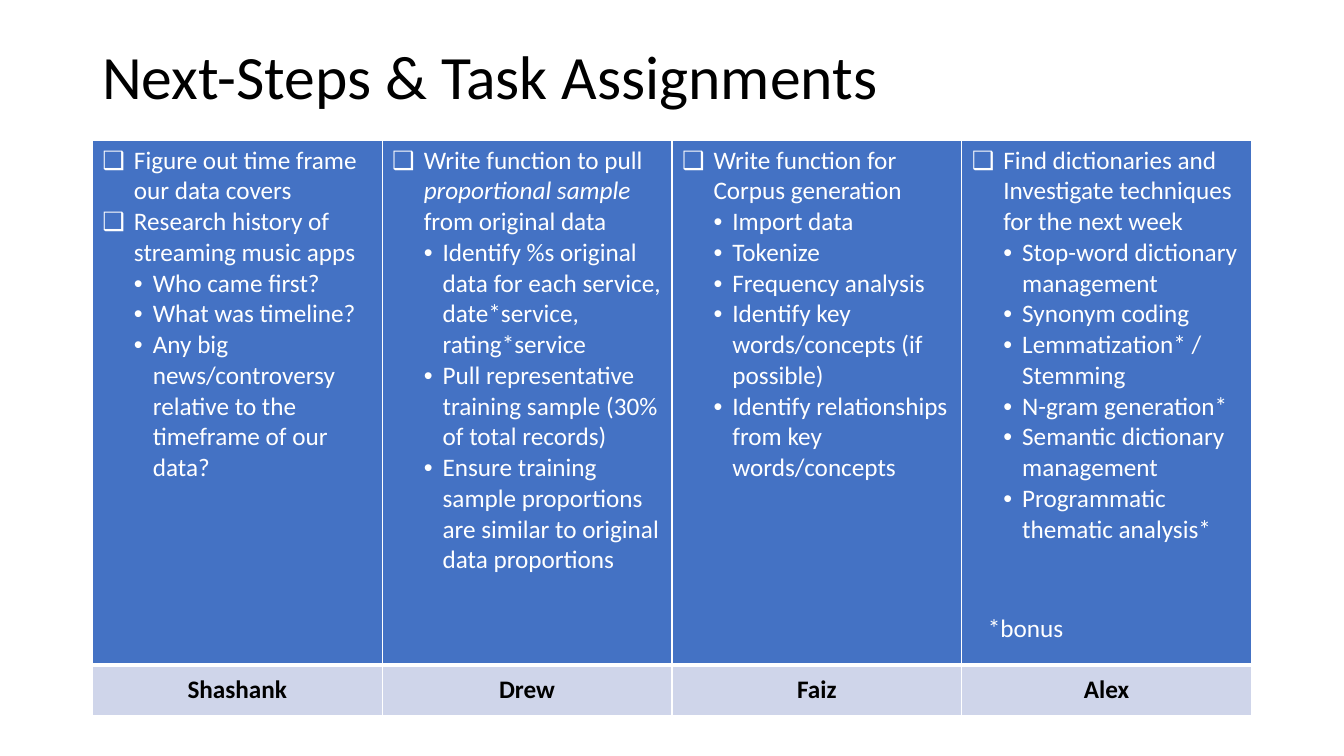
from lxml import etree
from pptx import Presentation
from pptx.dml.color import RGBColor
from pptx.enum.text import MSO_ANCHOR, PP_ALIGN
from pptx.oxml.ns import qn
from pptx.util import Pt

MIDDLE = MSO_ANCHOR.MIDDLE
TOP = MSO_ANCHOR.TOP
CENTER = PP_ALIGN.CENTER

BLACK = RGBColor(0x00, 0x00, 0x00)
WHITE = RGBColor(0xFF, 0xFF, 0xFF)
BLUE = RGBColor(0x44, 0x72, 0xC4)
PALE_BLUE = RGBColor(0xCF, 0xD5, 0xEA)

TITLE_FONT = {"name": "Calibri", "size": Pt(44)}
BODY_FONT = {"name": "Calibri", "size": Pt(18)}
NAME_FONT = {"name": "Calibri", "size": Pt(18), "bold": True}

TITLE_BOX = (66, 29, 828, 56)
TABLE_BOX = (66, 100, 828, 411)
BONUS_BOX = (698.5, 433.5, 183.5, 29)
NAME_ROW_HEIGHT = 36
THIN, THICK = 1, 3

BULLETS = [("❑", 22.5, -22.5), ("•", 36, -13.5)]

ASSIGNMENTS = {
    "Shashank": [
        (0, "Figure out time frame our data covers"),
        (0, "Research history of streaming music apps"),
        (1, "Who came first?"),
        (1, "What was timeline?"),
        (1, "Any big news/controversy relative to the timeframe of our data?"),
    ],
    "Drew": [
        (0, "Write function to pull |proportional sample| from original data"),
        (1, "Identify %s original data for each service, date*service, rating*service"),
        (1, "Pull representative training sample (30% of total records)"),
        (1, "Ensure training sample proportions are similar to original data proportions"),
    ],
    "Faiz": [
        (0, "Write function for Corpus generation"),
        (1, "Import data"),
        (1, "Tokenize"),
        (1, "Frequency analysis"),
        (1, "Identify key words/concepts (if possible)"),
        (1, "Identify relationships from key words/concepts"),
    ],
    "Alex": [
        (0, "Find dictionaries and Investigate techniques for the next week"),
        (1, "Stop-word dictionary management"),
        (1, "Synonym coding"),
        (1, "Lemmatization* / Stemming"),
        (1, "N-gram generation*"),
        (1, "Semantic dictionary management"),
        (1, "Programmatic thematic analysis*"),
    ],
}


def write_spans(para, text, font, color):
    for position, part in enumerate(text.split("|")):
        span = para.add_run()
        span.text = part
        for key, value in font.items():
            setattr(span.font, key, value)
        span.font.color.rgb = color
        if position % 2:
            span.font.italic = True


def add_text(page, box, text, font, color, anchor):
    frame = page.shapes.add_textbox(*map(Pt, box)).text_frame
    frame.word_wrap = True
    frame.vertical_anchor = anchor
    para = frame.paragraphs[0]
    write_spans(para, text, font, color)
    return para


def set_bullet(para, level):
    symbol, margin, indent = BULLETS[level]
    para.level = level
    properties = para._p.get_or_add_pPr()
    properties.set("marL", str(Pt(margin)))
    properties.set("indent", str(Pt(indent)))
    etree.SubElement(properties, qn("a:buFont")).set("typeface", "Arial")
    etree.SubElement(properties, qn("a:buChar")).set("char", symbol)


def paint_cell(cell, color, top_width, bottom_width):
    cell.fill.solid()
    cell.fill.fore_color.rgb = color
    properties = cell._tc.get_or_add_tcPr()
    sides = [("L", THIN), ("R", THIN), ("T", top_width), ("B", bottom_width)]
    for position, (side, width) in enumerate(sides):
        border = etree.Element(qn(f"a:ln{side}"), w=str(Pt(width)))
        fill = etree.SubElement(border, qn("a:solidFill"))
        etree.SubElement(fill, qn("a:srgbClr")).set("val", str(WHITE))
        properties.insert(position, border)


def fill_tasks(cell, tasks):
    paint_cell(cell, BLUE, THIN, THICK)
    frame = cell.text_frame
    for position, (level, text) in enumerate(tasks):
        para = frame.add_paragraph() if position else frame.paragraphs[0]
        set_bullet(para, level)
        write_spans(para, text, BODY_FONT, WHITE)


def fill_name(cell, name):
    paint_cell(cell, PALE_BLUE, THICK, THIN)
    cell.vertical_anchor = MIDDLE
    para = cell.text_frame.paragraphs[0]
    para.alignment = CENTER
    write_spans(para, name, NAME_FONT, BLACK)


def add_assignments(page, box):
    left, top, width, height = box
    count = len(ASSIGNMENTS)
    table = page.shapes.add_table(2, count, *map(Pt, box)).table
    table.rows[0].height = Pt(height - NAME_ROW_HEIGHT)
    table.rows[1].height = Pt(NAME_ROW_HEIGHT)
    for column, (name, tasks) in enumerate(ASSIGNMENTS.items()):
        table.columns[column].width = Pt(width / count)
        fill_tasks(table.cell(0, column), tasks)
        fill_name(table.cell(1, column), name)


def main():
    deck = Presentation()
    deck.slide_width, deck.slide_height = Pt(960), Pt(540)
    page = deck.slides.add_slide(deck.slide_layouts[6])
    title = add_text(page, TITLE_BOX, "Next-Steps & Task Assignments", TITLE_FONT, BLACK, MIDDLE)
    title.line_spacing = 0.9
    add_assignments(page, TABLE_BOX)
    add_text(page, BONUS_BOX, "*bonus", BODY_FONT, WHITE, TOP)
    deck.save("out.pptx")


if __name__ == "__main__":
    main()
